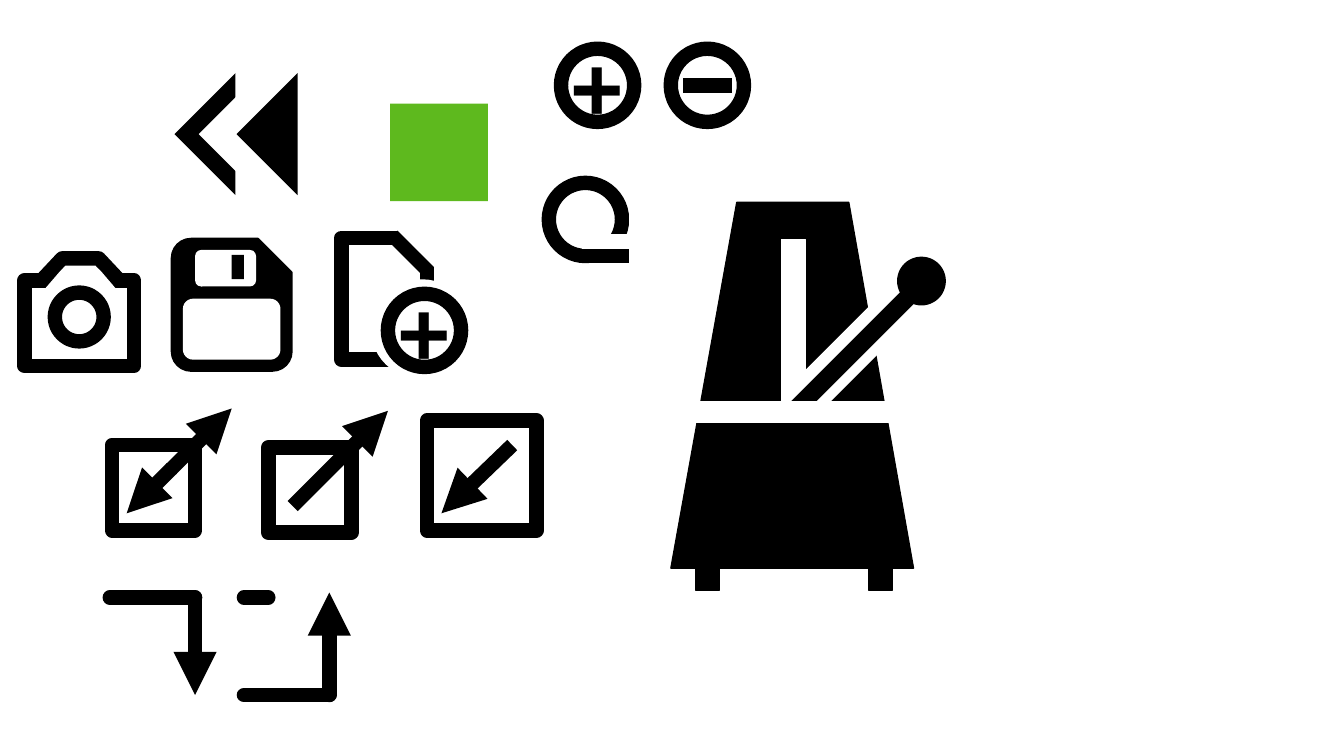
from pptx import Presentation
from pptx.dml.color import RGBColor
from pptx.enum import shapes, text
from pptx.oxml import ns, xmlchemy
from pptx.util import Pt

KIND = shapes.MSO_SHAPE
BLACK, WHITE = "000000", "FFFFFF"
STROKE = 8.5


def colour(value):
    return RGBColor.from_string(value)


def paint(shape, fill, line=None, width=0):
    shape.shadow.inherit = False
    shape.fill.solid()
    shape.fill.fore_color.rgb = colour(fill)
    if line is None:
        shape.line.fill.background()
    else:
        shape.line.color.rgb = colour(line)
        shape.line.width = Pt(width)


def preset(group, kind, left, top, width, height, fill=WHITE, line=None,
           stroke=0, rotation=0):
    shape = group.shapes.add_shape(kind, Pt(left), Pt(top), Pt(width), Pt(height))
    paint(shape, fill, line, stroke)
    shape.rotation = rotation
    return shape


def outlined(group, kind, left, top, width, height):
    return preset(group, kind, left, top, width, height, WHITE, BLACK, STROKE)


def polygon(group, left, top, points, fill, line, stroke=0):
    vertices = [(Pt(left + x), Pt(top + y)) for x, y in points]
    builder = group.shapes.build_freeform(*vertices[0])
    builder.add_line_segments(vertices[1:], close=True)
    paint(builder.convert_to_shape(), fill, line, stroke)


def segment(group, left, top, ends, line=BLACK, arrow=False, cap="flat"):
    x1, y1, x2, y2 = ends
    connector = group.shapes.add_connector(
        shapes.MSO_CONNECTOR.STRAIGHT,
        Pt(left + x1), Pt(top + y1), Pt(left + x2), Pt(top + y2))
    connector.line.color.rgb = colour(line)
    connector.line.width = Pt(STROKE)
    properties = connector._element.spPr
    outline = properties.find(ns.qn("a:ln"))
    outline.set("cap", cap)
    if arrow:
        tail = xmlchemy.OxmlElement("a:tailEnd")
        tail.set("type", "triangle")
        outline.append(tail)
    properties.append(xmlchemy.OxmlElement("a:effectLst"))


def plus_circle(group, left, top, size=43.2):
    circle = outlined(group, KIND.OVAL, left, top, size, size)
    frame = circle.text_frame
    frame.text = "+"
    frame.word_wrap = False
    frame.vertical_anchor = text.MSO_ANCHOR.MIDDLE
    frame.margin_left = frame.margin_right = Pt(11.5)
    frame.margin_top = frame.margin_bottom = Pt(7.9)
    paragraph = frame.paragraphs[0]
    paragraph.alignment = text.PP_ALIGN.CENTER
    font = paragraph.runs[0].font
    font.name, font.size, font.bold = "Arial", Pt(54), True
    font.color.rgb = colour(BLACK)


def minus_circle(group, left, top, size=43.2):
    outlined(group, KIND.OVAL, left, top, size, size)
    segment(group, left, top, (7.2, size / 2, size - 7.2, size / 2))


def green_tile(group, left, top, size=57.6):
    preset(group, KIND.RECTANGLE, left, top, size, size, "5EB91E")


def metronome(group, left, top, width=143.3, height=216):
    polygon(group, left, top,
            [(0, height), (width, height), (105.1, 0), (38.9, 0)], BLACK, BLACK)
    preset(group, KIND.RECTANGLE, left + 65.2, top + 22, 14.4, 105.8, WHITE, WHITE)
    preset(group, KIND.RECTANGLE, left + 57.6, top + 72, 108, 23, WHITE, WHITE,
           rotation=135)
    preset(group, KIND.RECTANGLE, left + 58.3, top + 77.8, 108, 11.5, BLACK, WHITE,
           rotation=135)
    preset(group, KIND.OVAL, left + 133.9, top + 32.4, 28.1, 28.1, BLACK, BLACK)
    for x in (14.4, 116.6):
        preset(group, KIND.RECTANGLE, left + x, top + 214.6, 14.4, 14.4, BLACK, BLACK)
    preset(group, KIND.RECTANGLE, left + 14.8, top + 117.7, 115.2, 12.2, WHITE, WHITE)


def rewind(group, left, top, height=72):
    width = height / 2
    for x, fill in ((0, BLACK), (14.4, WHITE), (36.7, BLACK)):
        preset(group, KIND.ISOSCELES_TRIANGLE, left + x - width / 2, top + width / 2,
               height, width, fill, rotation=270)


def floppy_disk(group, left, top, width=72, height=79.2):
    preset(group, KIND.ROUNDED_RECTANGLE, left, top, width, height, BLACK)
    preset(group, KIND.ROUNDED_RECTANGLE, left + 7.2, top + 36, 57.6, 36)
    preset(group, KIND.ROUNDED_RECTANGLE, left + 14.4, top + 7.2, 36, 21.6)
    preset(group, KIND.RECTANGLE, left + 36, top + 10.1, 7.2, 14.4, BLACK)
    preset(group, KIND.RIGHT_TRIANGLE, left + 47.5, top - 4.3, 28.8, 28.8, rotation=180)


def new_document(group, left, top, width=50.4, height=72):
    outlined(group, KIND.RECTANGLE, left, top, width, height)
    segment(group, left, top, (30.2, -1.4, 51.8, 20.2))
    preset(group, KIND.RIGHT_TRIANGLE, left + 28.8, top - 8.6, 28.8, 28.8, rotation=180)
    preset(group, KIND.OVAL, left + 21.6, top + 28.8, 51.8, 50.4, WHITE, WHITE, STROKE)
    plus_circle(group, left + 27.4, top + 33.1)


def window(group, left, top, width, height, arrows):
    outlined(group, KIND.RECTANGLE, left, top, width, height)
    for ends in arrows:
        segment(group, left, top, ends, arrow=True)


def route(group, left, top, lines, arrow):
    for ends in lines:
        segment(group, left, top, ends, cap="rnd")
    segment(group, left, top, arrow, arrow=True, cap="rnd")


def loop(group, left, top, size=43.2):
    outlined(group, KIND.OVAL, left, top, size, size)
    segment(group, left, top, (19.4, size, 48.2, size))
    segment(group, left, top, (19.4, 34.6, 48.2, 34.6), WHITE)
    segment(group, left, top, (51.8, 14.4, 51.8, 49), WHITE)


def camera(group, left, top, width=64.8):
    outlined(group, KIND.RECTANGLE, left, top + 13, width, 50.4)
    polygon(group, left, top, [(11.5, 11.5), (54.7, 11.5), (43.9, 0), (22.3, 0)],
            WHITE, BLACK, STROKE)
    polygon(group, left, top, [(15.8, 20.2), (50.4, 20.2), (41.8, 10.1), (24.5, 10.1)],
            WHITE, WHITE, STROKE)
    outlined(group, KIND.OVAL, left + 18, top + 20.2, 28.8, 28.8)


def main():
    presentation = Presentation()
    presentation.slide_width, presentation.slide_height = Pt(793.4), Pt(446.4)
    slide = presentation.slides.add_slide(presentation.slide_layouts[6])
    green_tile(slide, 230.4, 61.2)
    icons = [
        (metronome, 396, 119.5),
        (rewind, 103, 43.2),
        (floppy_disk, 100.8, 140.4),
        (new_document, 201.6, 140.4),
        (window, 66.2, 262.8, 49, 50.4,
         [(34.6, 14.4, 70.6, -21.6), (35.3, 13.7, 8.6, 40.3)]),
        (window, 158.4, 264.2, 49, 50.4, [(14.4, 34.6, 70.6, -21.6)]),
        (window, 252, 248.4, 64.8, 64.8, [(50.4, 14.4, 8.6, 54.7)]),
        (route, 64.8, 352.8, [(0, 0, 50.4, 0)], (50.4, 0, 50.4, 57.6)),
        (route, 144, 352.8, [(0, 0, 14.4, 0), (0, 57.6, 50.4, 57.6)],
         (50.4, 57.6, 50.4, -2.9)),
        (plus_circle, 331.2, 28.8),
        (minus_circle, 396, 28.8),
        (loop, 324, 108),
        (camera, 14.4, 152.6),
    ]
    for draw, *placement in icons:
        draw(slide.shapes.add_group_shape(), *placement)
    presentation.save("out.pptx")


if __name__ == "__main__":
    main()
